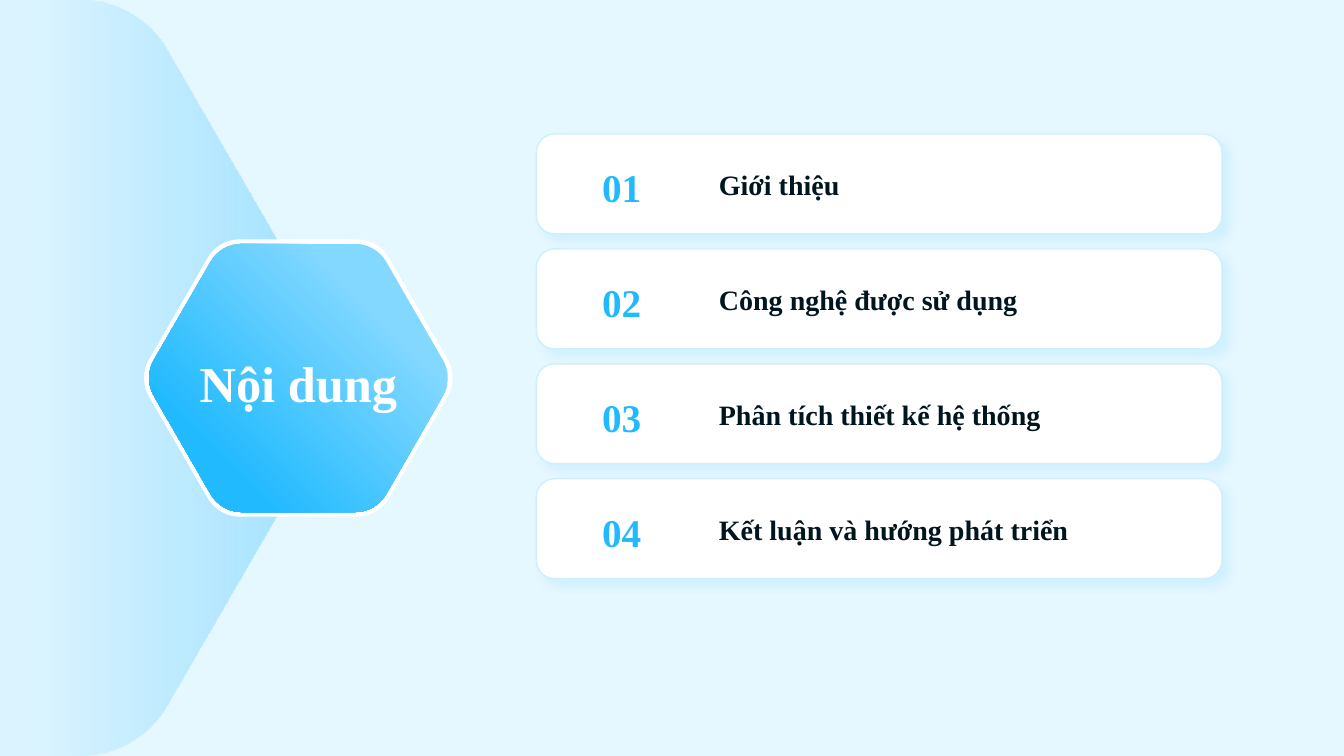
from math import cos, dist, radians, sin

from lxml import etree
from pptx import Presentation
from pptx.dml.color import RGBColor
from pptx.enum.shapes import MSO_SHAPE
from pptx.enum.text import MSO_ANCHOR, PP_ALIGN
from pptx.oxml.ns import qn
from pptx.util import Inches, Pt

ROUNDED = MSO_SHAPE.ROUNDED_RECTANGLE
MIDDLE = MSO_ANCHOR.MIDDLE
CENTER, LEFT = PP_ALIGN.CENTER, PP_ALIGN.LEFT
WIDTH, HEIGHT = 13.33, 7.5
FONT = "Times New Roman"
COLORS = {
    "background": "E5F7FF",
    "white": "FFFFFF",
    "sky": "83D8FF",
    "azure": "22BAFF",
    "border": "CDEFFF",
    "ink": "00151E",
}
TOPICS = [
    "Giới thiệu",
    "Công nghệ được sử dụng",
    "Phân tích thiết kế hệ thống",
    "Kết luận và hướng phát triển",
]
CORNER_CUT = 0.13
CURVE_PULL = 0.6


def color(name):
    """Return the named colour."""
    return RGBColor.from_string(COLORS[name])


def add_text(slide, box, text, size, color_name, align):
    """Add one bold line of text, vertically centred in its box."""
    shape = slide.shapes.add_textbox(*map(Inches, box))
    frame = shape.text_frame
    frame.word_wrap = True
    frame.vertical_anchor = MIDDLE
    frame.margin_left = frame.margin_right = 0
    frame.margin_top = frame.margin_bottom = 0
    para = frame.paragraphs[0]
    para.text = text
    para.alignment = align
    para.font.name = FONT
    para.font.size = Pt(size)
    para.font.bold = True
    para.font.color.rgb = color(color_name)


def toward(start, end, length):
    """Return the point at a given length from start in the direction of end."""
    share = length / dist(start, end)
    return tuple(a + (b - a) * share for a, b in zip(start, end))


def hexagon_corners(center_x, radius):
    """Return the corners of a regular hexagon at mid height, clockwise from the upper left."""
    return [
        (center_x + radius * cos(radians(angle)), HEIGHT / 2 + radius * sin(radians(angle)))
        for angle in range(-120, 240, 60)
    ]


def bend_lines(shape, curve_starts):
    """Turn each run of three line segments at the given places into one Bezier curve."""
    lines = list(shape._element.iter(qn("a:lnTo")))
    for place in curve_starts:
        curve = etree.Element(qn("a:cubicBezTo"))
        lines[place].addprevious(curve)
        for line in lines[place:place + 3]:
            curve.append(line[0])
            line.getparent().remove(line)


def add_rounded_outline(slide, corners, cut, square_corners=()):
    """Add a closed outline whose corners are rounded, save for the square ones."""
    points, curve_starts = [], []
    for index, corner in enumerate(corners):
        if corner in square_corners:
            points.append(corner)
            continue
        before, after = corners[index - 1], corners[(index + 1) % len(corners)]
        pulled = cut * (1 - CURVE_PULL)
        curve_starts.append(len(points))
        points += [
            toward(corner, before, cut), toward(corner, before, pulled),
            toward(corner, after, pulled), toward(corner, after, cut),
        ]
    places = [(Inches(x), Inches(y)) for x, y in points]
    builder = slide.shapes.build_freeform(*places[0])
    builder.add_line_segments(places[1:], close=True)
    shape = builder.convert_to_shape()
    bend_lines(shape, curve_starts)
    shape.shadow.inherit = False
    shape.line.fill.background()
    return shape


def add_hexagon(slide, center_x, height):
    """Add a rounded hexagon at mid height."""
    radius = height / 2 / sin(radians(60))
    return add_rounded_outline(slide, hexagon_corners(center_x, radius), radius * CORNER_CUT)


def fill_gradient(shape, angle, stops):
    """Fill a shape with (position, colour name, opacity percent) stops."""
    shape.fill.gradient()
    shape.fill.gradient_angle = angle
    for stop, (position, name, opacity) in zip(shape.fill.gradient_stops, stops):
        stop.position = position
        stop.color.rgb = color(name)
        if opacity < 100:
            value = stop.color._xFill.find(qn("a:srgbClr"))
            etree.SubElement(value, qn("a:alpha"), val=str(opacity * 1000))


def add_side_panel(slide):
    """Add the translucent right part of a slide-high hexagon at the left edge."""
    radius = HEIGHT / 2 / sin(radians(60))
    square_corners = [(0, HEIGHT), (0, 0)]
    corners = hexagon_corners(-0.8, radius)[1:4] + square_corners
    panel = add_rounded_outline(slide, corners, radius * CORNER_CUT, square_corners)
    fill_gradient(panel, 0, [(0.1, "sky", 10), (0.81, "sky", 60)])


def add_title_badge(slide, box):
    """Add the white-rimmed hexagon that carries the title."""
    left, top, width, height = box
    center_x = left + width / 2
    rim = add_hexagon(slide, center_x, height)
    rim.fill.solid()
    rim.fill.fore_color.rgb = color("white")
    face = add_hexagon(slide, center_x, height - 0.09)
    fill_gradient(face, 225, [(0.24, "sky", 100), (0.78, "azure", 100)])
    title_box = (left, top + 0.75, width, 1.33)
    add_text(slide, title_box, "Nội dung", 36, "white", CENTER)


def add_card_shadow(card):
    """Give a card a soft sky-blue shadow to the lower right."""
    card.shadow.inherit = False
    effects = card._element.spPr.find(qn("a:effectLst"))
    shadow = etree.SubElement(
        effects, qn("a:outerShdw"), blurRad=str(Pt(6)), dist=str(Pt(6)),
        dir=str(45 * 60000), algn="tl", rotWithShape="0",
    )
    tint = etree.SubElement(shadow, qn("a:srgbClr"), val=COLORS["sky"])
    etree.SubElement(tint, qn("a:alpha"), val="20000")


def add_topic_card(slide, box, number, topic):
    """Add one numbered topic on a white rounded card."""
    left, top, width, height = box
    card = slide.shapes.add_shape(ROUNDED, *map(Inches, box))
    card.adjustments[0] = 0.18
    card.fill.solid()
    card.fill.fore_color.rgb = color("white")
    card.line.color.rgb = color("border")
    card.line.width = Pt(1)
    add_card_shadow(card)
    number_box = (left + 0.19, top + 0.03, 1.31, height)
    label_box = (left + 1.81, top + 0.13, 4.85, 0.74)
    add_text(slide, number_box, f"{number:02d}", 28, "azure", CENTER)
    add_text(slide, label_box, topic, 20, "ink", LEFT)


def add_topic_list(slide, box):
    """Stack the topic cards in equal rows inside the box."""
    left, top, width, height = box
    card_height = 0.99
    pitch = (height - card_height) / (len(TOPICS) - 1)
    for row, topic in enumerate(TOPICS):
        card_box = (left, top + row * pitch, width, card_height)
        add_topic_card(slide, card_box, row + 1, topic)


def main():
    """Build the contents slide and save the deck."""
    deck = Presentation()
    deck.slide_width, deck.slide_height = Inches(WIDTH), Inches(HEIGHT)
    slide = deck.slides.add_slide(deck.slide_layouts[6])
    slide.background.fill.solid()
    slide.background.fill.fore_color.rgb = color("background")
    add_side_panel(slide)
    add_title_badge(slide, (1.43, 2.38, 3.06, 2.75))
    add_topic_list(slide, (5.32, 1.33, 6.8, 4.41))
    deck.save("out.pptx")


if __name__ == "__main__":
    main()
